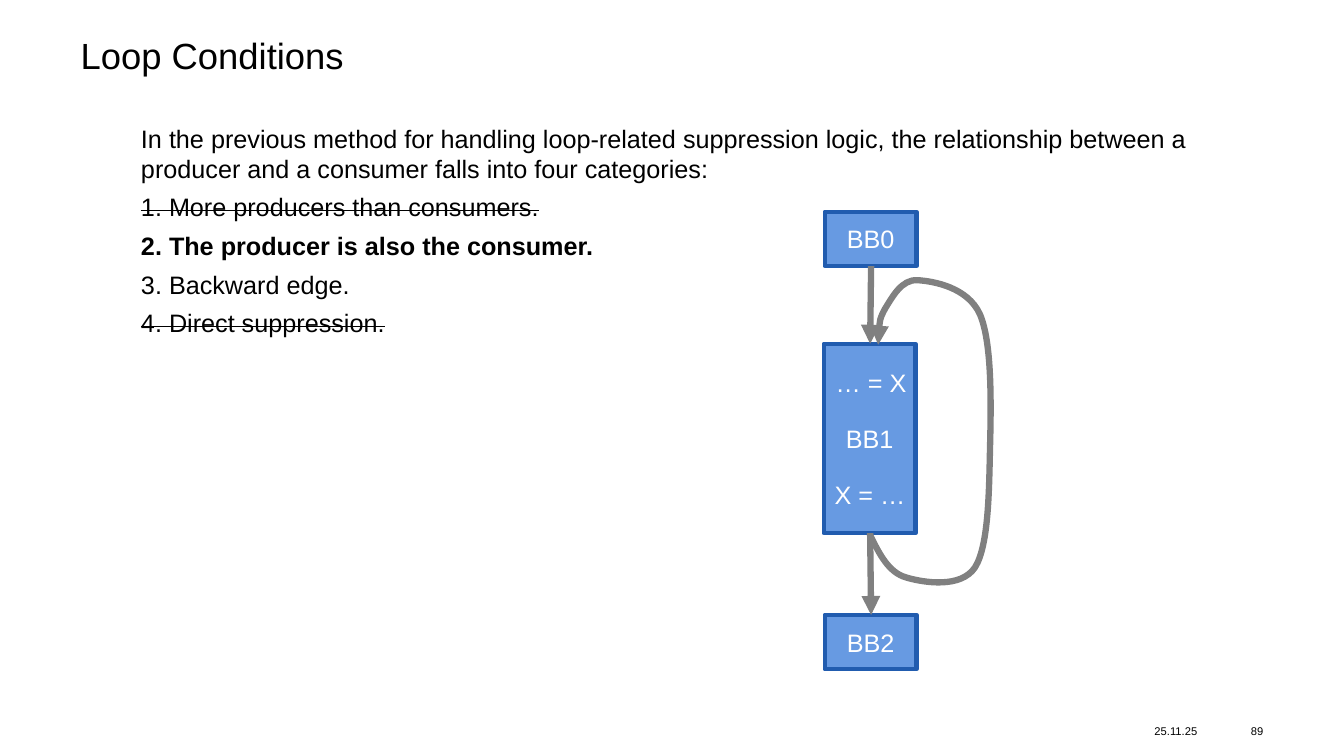
from lxml.etree import SubElement
from pptx import Presentation
from pptx.dml.color import RGBColor
from pptx.enum.shapes import MSO_CONNECTOR, MSO_SHAPE
from pptx.enum.text import MSO_ANCHOR, PP_ALIGN
from pptx.oxml.ns import qn
from pptx.util import Inches, Pt

BLACK = RGBColor(0x00, 0x00, 0x00)
WHITE = RGBColor(0xFF, 0xFF, 0xFF)
BLOCK_FILL = RGBColor(0x67, 0x9A, 0xE2)
BLOCK_EDGE = RGBColor(0x21, 0x5C, 0xAF)
ARROW_GREY = RGBColor(0x80, 0x80, 0x80)

INTRO = ("In the previous method for handling loop-related suppression logic, "
         "the relationship between a producer and a consumer falls into four categories:")
# Text, bold, struck out
CATEGORIES = [
    ("1. More producers than consumers.", False, True),
    ("2. The producer is also the consumer.", True, False),
    ("3. Backward edge.", False, False),
    ("4. Direct suppression.", False, True),
]
BLOCKS = [
    ("BB0", 8.18, 2.1, 0.54),
    ("BB1", 8.17, 3.41, 1.88),
    ("BB2", 8.18, 6.1, 0.54),
]
BLOCK_WIDTH = 0.91
# Start point, then two control points and an end point for each curve
BACK_EDGE = [
    (8.63, 5.31),
    (8.72, 5.49), (8.81, 5.68), (8.99, 5.73),
    (9.16, 5.78), (9.53, 5.84), (9.67, 5.63),
    (9.81, 5.41), (9.81, 4.84), (9.82, 4.42),
    (9.83, 4.01), (9.84, 3.4), (9.72, 3.12),
    (9.6, 2.85), (9.26, 2.79), (9.1, 2.78),
    (8.94, 2.77), (8.85, 2.95), (8.78, 3.06),
    (8.72, 3.17), (8.71, 3.29), (8.71, 3.42),
]


class FlowSlide:
    font_name = "Arial"
    body_size = 18

    def __init__(self, presentation):
        self.shapes = presentation.slides.add_slide(presentation.slide_layouts[6]).shapes

    def style(self, paragraph, size=body_size, color=BLACK, bold=False):
        font = paragraph.font
        font.name, font.size, font.bold = self.font_name, Pt(size), bold
        font.color.rgb = color

    def text(self, content, left, top, width, height, size=body_size, color=BLACK,
             wrap=True, inset=True, anchor=MSO_ANCHOR.TOP, align=PP_ALIGN.LEFT):
        box = self.shapes.add_textbox(Inches(left), Inches(top), Inches(width), Inches(height))
        frame = box.text_frame
        frame.word_wrap, frame.vertical_anchor = wrap, anchor
        if not inset:
            frame.margin_left = frame.margin_right = 0
            frame.margin_top = frame.margin_bottom = 0
        paragraph = frame.paragraphs[0]
        paragraph.text, paragraph.alignment = content, align
        self.style(paragraph, size, color)
        return frame

    def list_item(self, frame, content, bold, struck):
        paragraph = frame.add_paragraph()
        paragraph.space_before = Pt(6)
        run = paragraph.add_run()
        run.text = content
        if struck:
            run._r.get_or_add_rPr().set("strike", "sngStrike")
        self.style(paragraph, bold=bold)

    def block(self, label, left, top, height):
        block = self.shapes.add_shape(MSO_SHAPE.RECTANGLE, Inches(left), Inches(top),
                                      Inches(BLOCK_WIDTH), Inches(height))
        block.shadow.inherit = False
        block.fill.solid()
        block.fill.fore_color.rgb = BLOCK_FILL
        block.line.color.rgb = BLOCK_EDGE
        block.line.width = Pt(3)
        block.text_frame.vertical_anchor = MSO_ANCHOR.MIDDLE
        paragraph = block.text_frame.paragraphs[0]
        paragraph.text, paragraph.alignment = label, PP_ALIGN.CENTER
        self.style(paragraph, color=WHITE)

    def arrow_line(self, line):
        line.color.rgb = ARROW_GREY
        line.width = Pt(4.5)
        SubElement(line._get_or_add_ln(), qn("a:tailEnd"), type="triangle")

    def arrow(self, start, end):
        arrow = self.shapes.add_connector(MSO_CONNECTOR.STRAIGHT,
                                          *map(Inches, start), *map(Inches, end))
        self.arrow_line(arrow.line)
        SubElement(arrow._element.spPr, qn("a:effectLst"))

    def curved_arrow(self, points):
        """Draw an open Bézier outline ending in an arrowhead."""
        start, *rest = [(Inches(x), Inches(y)) for x, y in points]
        builder = self.shapes.build_freeform(*start)
        builder.add_line_segments(rest, close=False)
        curve = builder.convert_to_shape()
        curve.shadow.inherit = False
        curve.fill.background()
        self.arrow_line(curve.line)
        outline = next(curve._element.iter(qn("a:path")))
        segments = outline.findall(qn("a:lnTo"))
        for first in range(0, len(segments), 3):
            bezier = SubElement(outline, qn("a:cubicBezTo"))
            for segment in segments[first:first + 3]:
                bezier.append(segment[0])
                outline.remove(segment)


def main():
    presentation = Presentation()
    presentation.slide_width, presentation.slide_height = Inches(13.33), Inches(7.5)
    slide = FlowSlide(presentation)

    title = slide.text("Loop Conditions", 0.8, 0.38, 11.73, 0.38, size=26, inset=False)
    title.paragraphs[0].line_spacing = 0.9
    body = slide.text(INTRO, 1.3, 1.17, 10.59, 2.64)
    for category in CATEGORIES:
        slide.list_item(body, *category)

    for block in BLOCKS:
        slide.block(*block)
    slide.text("… = X", 8.19, 3.59, BLOCK_WIDTH, 0.4, color=WHITE, wrap=False)
    slide.text("X = …", 8.18, 4.71, BLOCK_WIDTH, 0.4, color=WHITE, wrap=False)
    slide.arrow((8.64, 2.64), (8.63, 3.41))
    slide.arrow((8.63, 5.29), (8.64, 6.1))
    slide.curved_arrow(BACK_EDGE)

    footer = dict(size=8, inset=False, anchor=MSO_ANCHOR.MIDDLE)
    slide.text("25.11.25", 11.45, 7.13, 0.67, 0.24, **footer)
    slide.text("89", 12.18, 7.13, 0.35, 0.24, align=PP_ALIGN.RIGHT, **footer)

    presentation.save("out.pptx")


if __name__ == "__main__":
    main()
